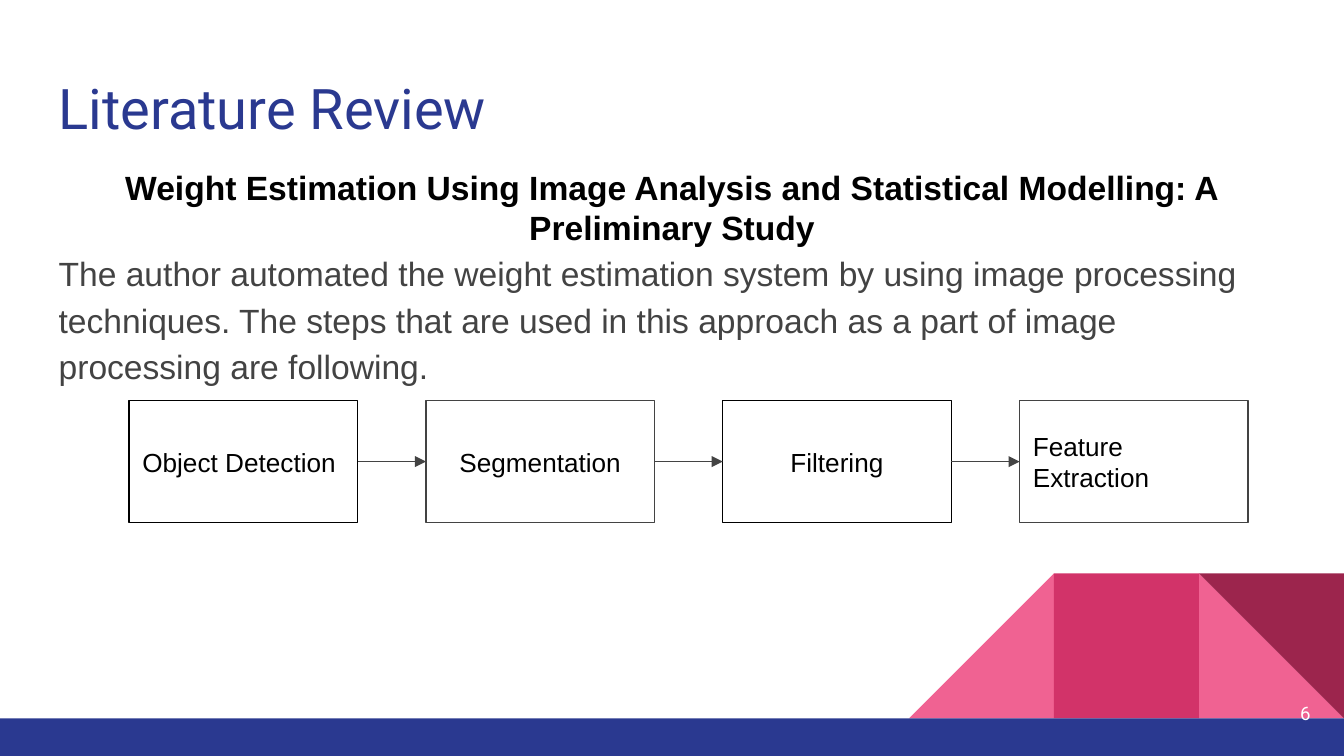
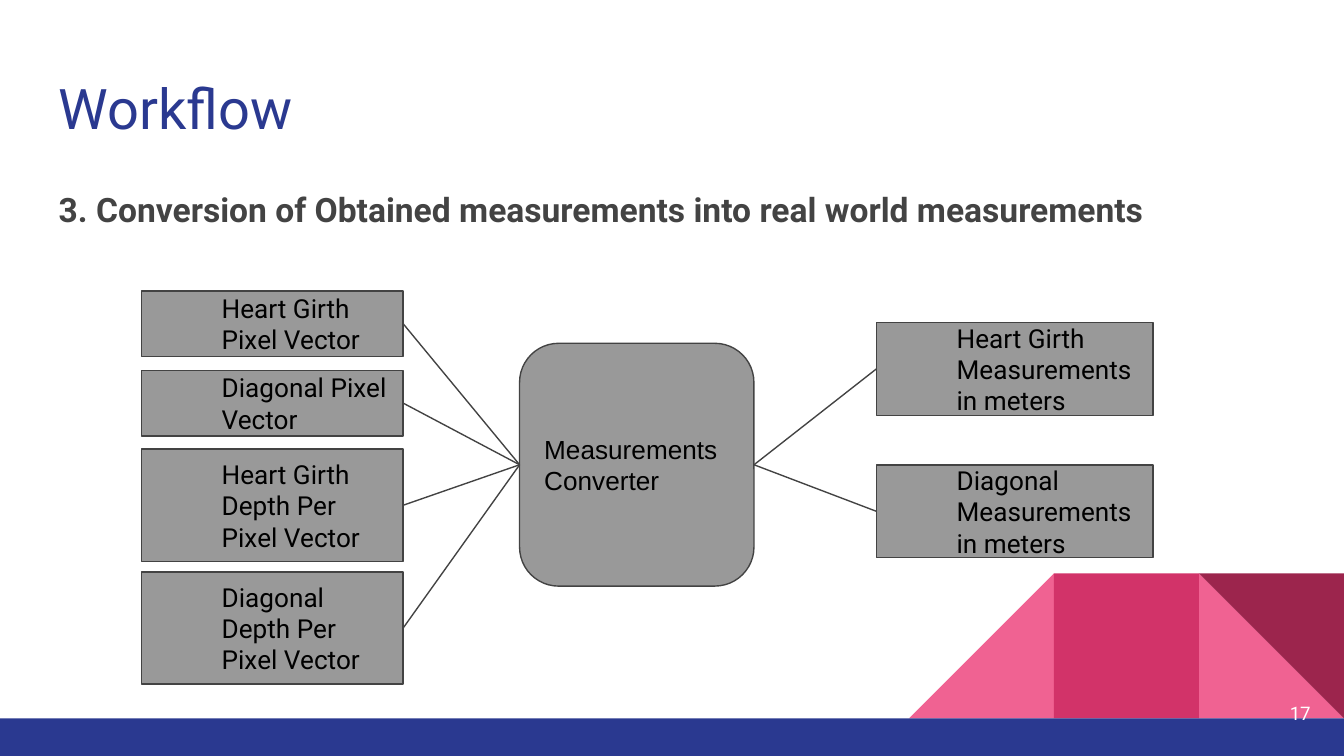
from lxml.etree import SubElement
from pptx import Presentation
from pptx.dml.color import RGBColor
from pptx.enum.shapes import MSO_CONNECTOR, MSO_SHAPE
from pptx.enum.text import MSO_ANCHOR, PP_ALIGN
from pptx.oxml.ns import qn
from pptx.util import Cm, Pt

NAVY, PINK, ROSE, WINE = "2A3990", "F06292", "D23369", "9C254D"
BLACK, WHITE, CHARCOAL, GREY = "000000", "FFFFFF", "434343", "999999"
LEFT_SITE, RIGHT_SITE = 1, 3


def color(hex_string):
    return RGBColor.from_string(hex_string)


class Deck:
    heading_font = "Roboto"
    text_font = "Arial"
    width, height = 25.4, 14.29
    margin, inset = 0.86, 0.25
    band_top, tile = 13.58, 2.74

    def __init__(self):
        self.prs = Presentation()
        self.prs.slide_width = Cm(self.width)
        self.prs.slide_height = Cm(self.height)
        self.slide = None

    def new_slide(self, title, number):
        self.slide = self.prs.slides.add_slide(self.prs.slide_layouts[6])
        self.decorate()
        heading = self.textbox(self.margin, 1.14, self.content_width, 1.68)
        self.add_text(heading, title, 30, self.heading_font, NAVY)
        page = self.textbox(23.5, 12.93, 1.52, 1.09, MSO_ANCHOR.MIDDLE)
        self.add_text(page, number, 10, self.heading_font, WHITE, align=PP_ALIGN.RIGHT)

    @property
    def content_width(self):
        return self.width - 2 * self.margin

    def decorate(self):
        top = self.band_top - self.tile
        first, middle, last = (self.width - self.tile * n for n in (3, 2, 1))
        size = (self.tile, self.tile)
        self.shape(MSO_SHAPE.RIGHT_TRIANGLE, last, top, *size, PINK)
        slope = self.shape(MSO_SHAPE.RIGHT_TRIANGLE, first, top, *size, PINK)
        slope.element.spPr.xfrm.set("flipH", "1")
        self.shape(MSO_SHAPE.RECTANGLE, middle, top, *size, ROSE)
        corner = self.shape(MSO_SHAPE.RIGHT_TRIANGLE, last, top, *size, WINE)
        corner.rotation = 180
        self.shape(MSO_SHAPE.RECTANGLE, 0, self.band_top, self.width,
                   self.height - self.band_top, NAVY)

    def shape(self, kind, left, top, width, height, fill, line=None):
        shape = self.slide.shapes.add_shape(
            kind, Cm(left), Cm(top), Cm(width), Cm(height))
        shape.shadow.inherit = False
        shape.fill.solid()
        shape.fill.fore_color.rgb = color(fill)
        if line:
            shape.line.color.rgb = color(line)
            shape.line.width = Pt(0.75)
        else:
            shape.line.fill.background()
        return shape

    def frame(self, shape, anchor):
        frame = shape.text_frame
        frame.word_wrap = True
        frame.vertical_anchor = anchor
        frame.margin_left = frame.margin_right = Cm(self.inset)
        frame.margin_top = frame.margin_bottom = Cm(self.inset)
        return frame

    def textbox(self, left, top, width, height, anchor=MSO_ANCHOR.TOP):
        box = self.slide.shapes.add_textbox(
            Cm(left), Cm(top), Cm(width), Cm(height))
        return self.frame(box, anchor)

    def add_text(self, frame, text, size, font, ink, bold=False,
                 align=PP_ALIGN.LEFT, spacing=None, indent=0):
        paragraph = frame.paragraphs[0]
        if paragraph.runs:
            paragraph = frame.add_paragraph()
        paragraph.add_run().text = text
        paragraph.alignment = align
        paragraph.line_spacing = spacing
        if indent:
            paragraph._p.get_or_add_pPr().set("marL", str(Cm(indent)))
        paragraph.font.size = Pt(size)
        paragraph.font.name = font
        paragraph.font.bold = bold
        paragraph.font.color.rgb = color(ink)

    def node(self, text, left, top, width, height, fill=GREY, line=CHARCOAL,
             kind=MSO_SHAPE.RECTANGLE, font=text_font, align=PP_ALIGN.LEFT, indent=0):
        node = self.shape(kind, left, top, width, height, fill, line)
        self.add_text(self.frame(node, MSO_ANCHOR.MIDDLE), text, 14, font, BLACK,
                      align=align, indent=indent)
        return node

    def link(self, source, target, arrow=False):
        link = self.slide.shapes.add_connector(MSO_CONNECTOR.STRAIGHT, 0, 0, 0, 0)
        link.begin_connect(source, RIGHT_SITE)
        link.end_connect(target, LEFT_SITE)
        link.line.color.rgb = color(CHARCOAL)
        link.line.width = Pt(0.75)
        if arrow:
            SubElement(link.line._get_or_add_ln(), qn("a:tailEnd"), type="triangle")
        SubElement(link.element.spPr, qn("a:effectLst"))


def literature_review(deck):
    deck.new_slide("Literature Review", "6")
    summary = deck.textbox(deck.margin, 2.9, deck.content_width, 9.8)
    deck.add_text(summary, "Weight Estimation Using Image Analysis and Statistical "
                  "Modelling: A Preliminary Study", 18, deck.text_font, BLACK,
                  bold=True, align=PP_ALIGN.CENTER)
    deck.add_text(summary, "The author automated the weight estimation system by using "
                  "image processing techniques. The steps that are used in this approach "
                  "as a part of image processing are following.",
                  18, deck.text_font, CHARCOAL, spacing=1.15)
    stages = [
        ("Object Detection", BLACK, PP_ALIGN.LEFT),
        ("Segmentation", CHARCOAL, PP_ALIGN.CENTER),
        ("Filtering", BLACK, PP_ALIGN.CENTER),
        ("Feature Extraction", CHARCOAL, PP_ALIGN.LEFT),
    ]
    steps = [
        deck.node(text, 2.44 + 5.61 * i, 7.57, 4.32, 2.31, WHITE, line, align=align)
        for i, (text, line, align) in enumerate(stages)
    ]
    for step, following in zip(steps, steps[1:]):
        deck.link(step, following, arrow=True)


def workflow(deck):
    deck.new_slide("Workflow", "17")
    stage = deck.textbox(deck.margin, 3.2, deck.content_width, 1.6)
    deck.add_text(stage, "3. Conversion of Obtained measurements into real world "
                  "measurements", 18, deck.heading_font, CHARCOAL, bold=True,
                  spacing=1.15)
    converter = deck.node("Measurements Converter", 9.82, 6.49, 4.43, 4.59,
                          kind=MSO_SHAPE.ROUNDED_RECTANGLE)
    inputs = [
        ("Heart Girth Pixel Vector", 5.5, 1.24),
        ("Diagonal Pixel Vector", 7, 1.24),
        ("Heart Girth Depth Per Pixel Vector", 8.49, 2.12),
        ("Diagonal Depth Per Pixel Vector", 10.81, 2.12),
    ]
    outputs = [
        ("Heart Girth Measurements in meters", 6.1),
        ("Diagonal Measurements in meters", 8.79),
    ]
    label = {"font": deck.heading_font, "indent": 1.27}
    for text, top, height in inputs:
        deck.link(deck.node(text, 2.67, top, 4.95, height, **label), converter)
    for text, top in outputs:
        deck.link(converter, deck.node(text, 16.56, top, 5.23, 1.75, **label))


def main():
    deck = Deck()
    literature_review(deck)
    workflow(deck)
    deck.prs.save("out.pptx")


if __name__ == "__main__":
    main()
